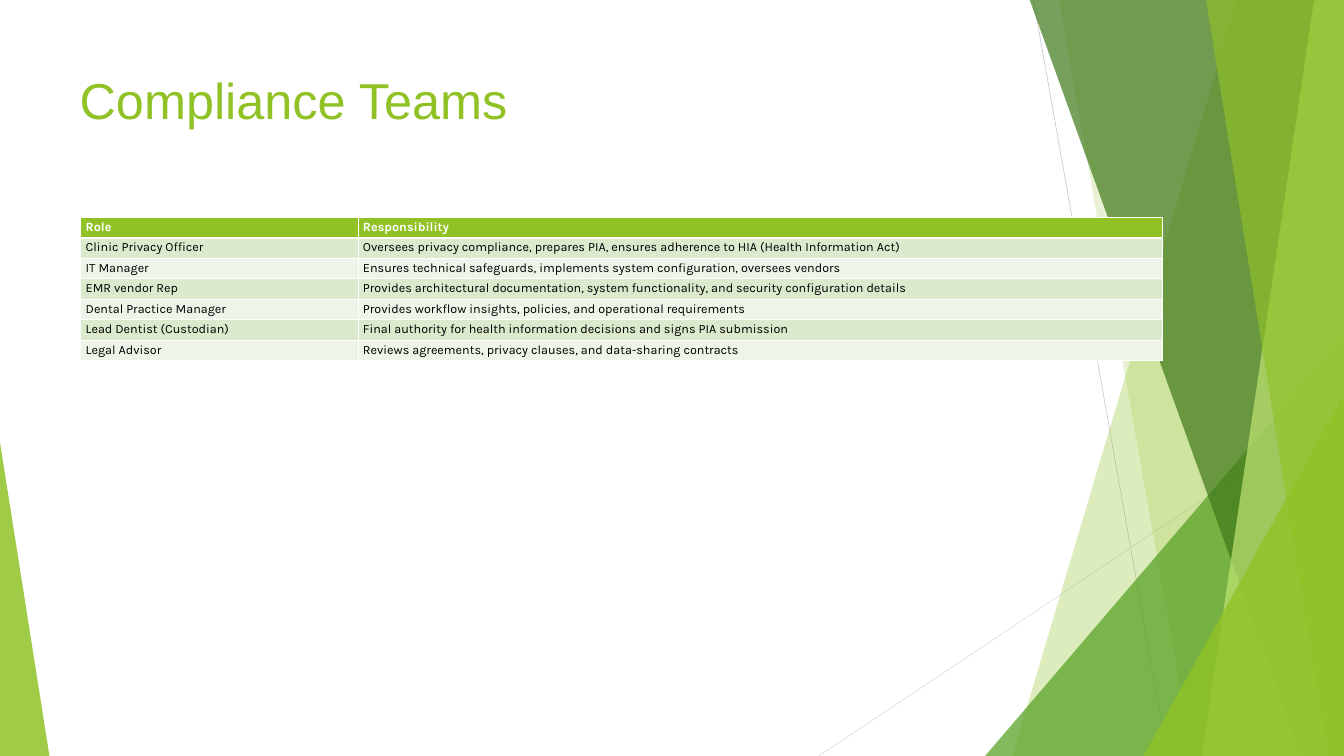
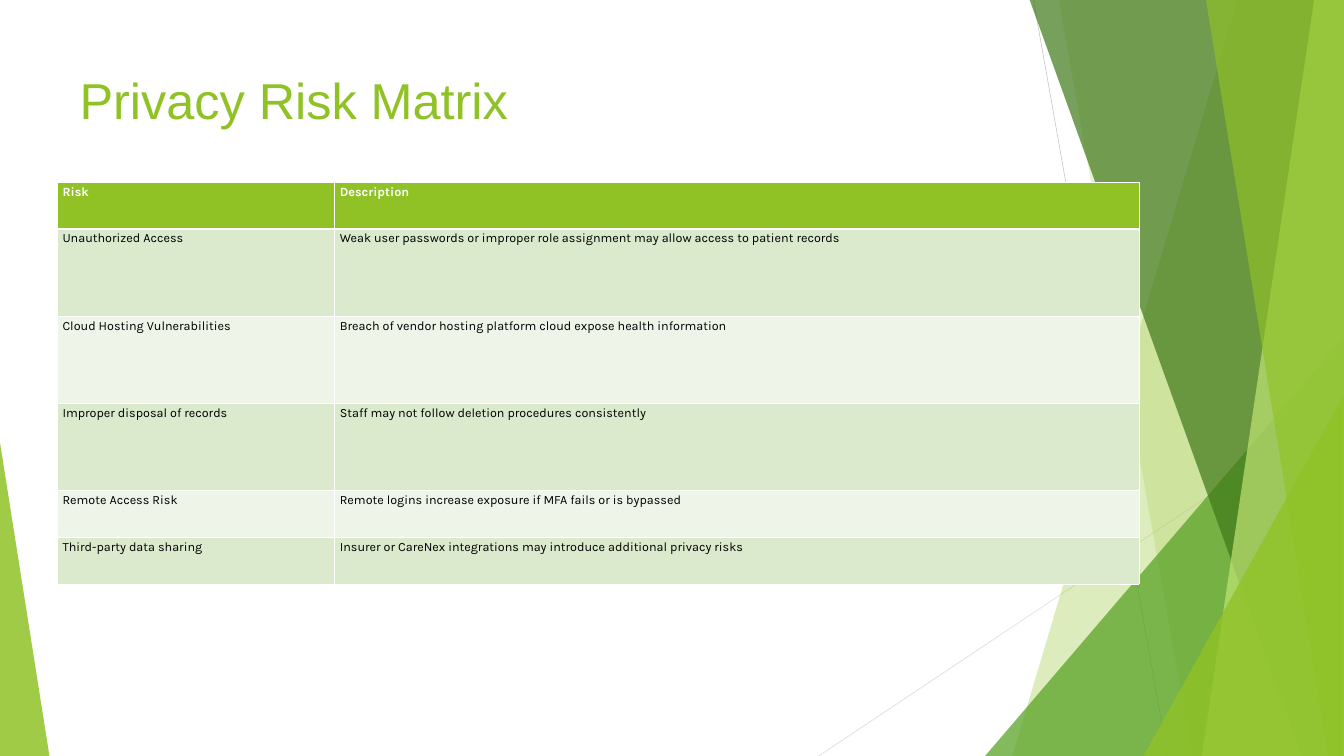
"""Build two compliance slides: a title and a table over a shared faceted backdrop."""
from lxml import etree
from pptx import Presentation
from pptx.dml.color import RGBColor
from pptx.enum.shapes import MSO_CONNECTOR, MSO_SHAPE
from pptx.enum.text import MSO_ANCHOR, PP_ALIGN
from pptx.oxml.ns import qn
from pptx.util import Pt

STRAIGHT = MSO_CONNECTOR.STRAIGHT
TRIANGLE = MSO_SHAPE.ISOSCELES_TRIANGLE
TOP = MSO_ANCHOR.TOP
LEFT = PP_ALIGN.LEFT

COLORS = {
    "lime": "90C226", "green": "54A021", "forest": "3F7819", "pale": "C0E474",
    "grey": "BFBFBF", "light_grey": "D9D9D9", "white": "FFFFFF", "black": "000000",
    "row_odd": "DBE9CD", "row_even": "EEF4E8",
}
TITLE_FONT, TABLE_FONT = "Arial", "Karla"
SLIDE_W, SLIDE_H = 1919.5, 1080
BAND_TOP = -1.4
TITLE_BOX = (106.6, 95.8, 1353.6, 208)
COLUMNS = (396, 1148.4)

RAYS = [
    ((1476, 0), (1667.5, SLIDE_H), "grey"),
    ((SLIDE_W, 579.6), (1169.3, SLIDE_H), "light_grey"),
]
FACETS = [
    ("band", (1767.6, 1445.8), "lime", 30),
    ("band", (1512, 1702.8), "lime", 20),
    ("triangle", (1406.9, 480.2, 513.4, 599.8, 1), "green", 72),
    ("band", (1470.2, 1859), "forest", 70),
    ("band", (1877, 1716.5), "pale", 70),
    ("band", (1722.2, 1897.2), "lime", 65),
    ("triangle", (1633, 565.2, 285.8, 514.8, 1), "lime", 80),
    ("triangle", (0, 632.2, 70.6, 447.8, 0), "lime", 85),
]
SLIDES = [
    {
        "title": "Compliance Teams",
        "at": (115.2, 310.3),
        "heights": [29.3] * 7,
        "rows": [
            ("Role", "Responsibility"),
            ("Clinic Privacy Officer", "Oversees privacy compliance, prepares PIA, ensures adherence to HIA (Health Information Act)"),
            ("IT Manager", "Ensures technical safeguards, implements system configuration, oversees vendors"),
            ("EMR vendor Rep", "Provides architectural documentation, system functionality, and security configuration details"),
            ("Dental Practice Manager", "Provides workflow insights, policies, and operational requirements"),
            ("Lead Dentist (Custodian)", "Final authority for health information decisions and signs PIA submission"),
            ("Legal Advisor", "Reviews agreements, privacy clauses, and data-sharing contracts"),
        ],
    },
    {
        "title": "Privacy Risk Matrix",
        "at": (82.1, 259.9),
        "heights": [67] + [124.4] * 3 + [67] * 2,
        "rows": [
            ("Risk", "Description"),
            ("Unauthorized Access", "Weak user passwords or improper role assignment may allow access to patient records"),
            ("Cloud Hosting Vulnerabilities", "Breach of vendor hosting platform cloud expose health information"),
            ("Improper disposal of records", "Staff may not follow deletion procedures consistently"),
            ("Remote Access Risk", "Remote logins increase exposure if MFA fails or is bypassed"),
            ("Third-party data sharing", "Insurer or CareNex integrations may introduce additional privacy risks"),
        ],
    },
]


def rgb(name):
    return RGBColor.from_string(COLORS[name])


def pts(*values):
    return [Pt(v) for v in values]


def add_run(p, text, font, size, color, bold=False):
    p.alignment = LEFT
    r = p.add_run()
    r.text = text
    r.font.name, r.font.size, r.font.bold = font, Pt(size), bold
    r.font.color.rgb = rgb(color)


def add_ray(s, start, end, color):
    line = s.shapes.add_connector(STRAIGHT, *pts(*start, *end))
    line.line.color.rgb = rgb(color)
    line.line.width = Pt(0.75)
    etree.SubElement(line.element.spPr, qn("a:effectLst"))


def add_facet(s, kind, geometry, color, opacity):
    if kind == "band":
        top_x, bottom_x = geometry
        corners = [(SLIDE_W, BAND_TOP), (SLIDE_W, SLIDE_H), (bottom_x, SLIDE_H)]
        builder = s.shapes.build_freeform(*pts(top_x, BAND_TOP))
        builder.add_line_segments([pts(*corner) for corner in corners], close=True)
        sp = builder.convert_to_shape()
    else:
        *box, apex = geometry
        sp = s.shapes.add_shape(TRIANGLE, *pts(*box))
        sp.adjustments[0] = apex
    sp.shadow.inherit = False
    sp.fill.solid()
    sp.fill.fore_color.rgb = rgb(color)
    sp.line.fill.background()
    fill_color = sp.element.spPr.find(qn("a:solidFill"))[0]
    etree.SubElement(fill_color, qn("a:alpha"), val=str(opacity * 1000))


def add_title(s, text):
    tf = s.shapes.add_textbox(*pts(*TITLE_BOX)).text_frame
    tf.word_wrap = True
    tf.vertical_anchor = TOP
    add_run(tf.paragraphs[0], text, TITLE_FONT, 72, "lime")


def set_borders(cell, top, bottom):
    widths = {"lnL": 1, "lnR": 1, "lnT": top, "lnB": bottom}
    tc_pr = cell._tc.get_or_add_tcPr()
    for i, (side, width) in enumerate(widths.items()):
        ln = etree.Element(qn(f"a:{side}"), w=str(Pt(width)))
        fill = etree.SubElement(ln, qn("a:solidFill"))
        etree.SubElement(fill, qn("a:srgbClr"), val=COLORS["white"])
        tc_pr.insert(i, ln)


def add_table(s, at, heights, rows):
    size = (sum(COLUMNS), sum(heights))
    table = s.shapes.add_table(len(rows), len(COLUMNS), *pts(*at, *size)).table
    for column, width in zip(table.columns, COLUMNS):
        column.width = Pt(width)
    for i, (row, height) in enumerate(zip(rows, heights)):
        table.rows[i].height = Pt(height)
        header = i == 0
        fill = "lime" if header else "row_odd" if i % 2 else "row_even"
        for j, text in enumerate(row):
            cell = table.cell(i, j)
            cell.fill.solid()
            cell.fill.fore_color.rgb = rgb(fill)
            cell.vertical_anchor = TOP
            set_borders(cell, top=3 if i == 1 else 1, bottom=3 if header else 1)
            add_run(cell.text_frame.paragraphs[0], text, TABLE_FONT, 18,
                    "white" if header else "black", header)


def main():
    prs = Presentation()
    prs.slide_width, prs.slide_height = pts(SLIDE_W, SLIDE_H)
    for content in SLIDES:
        s = prs.slides.add_slide(prs.slide_layouts[6])
        s.background.fill.solid()
        s.background.fill.fore_color.rgb = rgb("white")
        for ray in RAYS:
            add_ray(s, *ray)
        for facet in FACETS:
            add_facet(s, *facet)
        add_title(s, content["title"])
        add_table(s, content["at"], content["heights"], content["rows"])
    prs.save("out.pptx")


if __name__ == "__main__":
    main()
